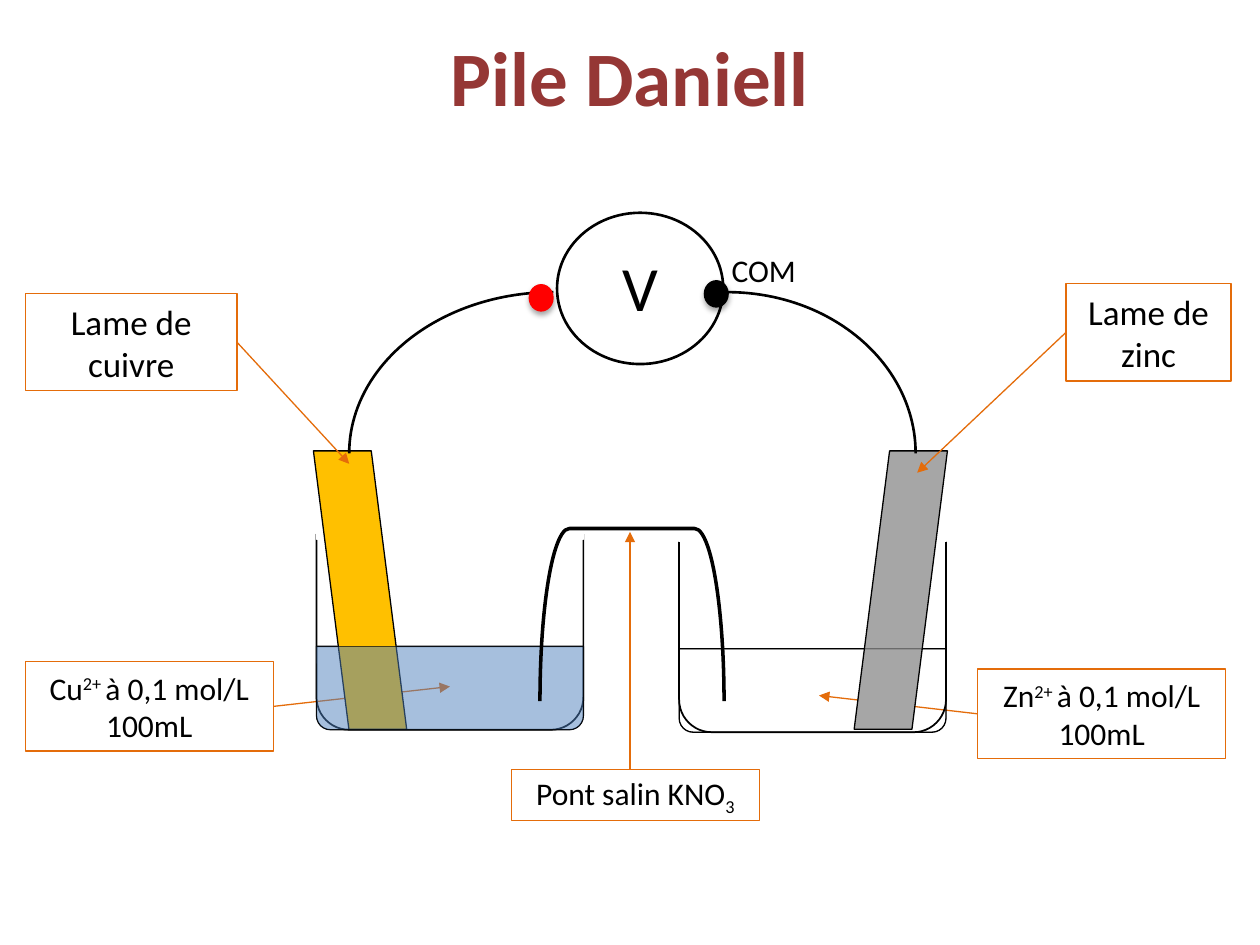
from lxml import etree
from pptx import Presentation
from pptx.dml.color import RGBColor
from pptx.enum import shapes, text
from pptx.oxml import ns
from pptx.util import Cm, Pt

COLORS = {
    "title": "953735", "label": "E46C0A", "ink": "000000", "paper": "FFFFFF",
    "copper": "FFC000", "zinc": "A6A6A6", "solution": "4F81BD", "plus": "FF0000",
}
RGB = {name: RGBColor.from_string(value) for name, value in COLORS.items()}
FORM = shapes.MSO_SHAPE

prs = Presentation()
prs.slide_width, prs.slide_height = Cm(25.4), Cm(19.05)
slide = prs.slides.add_slide(prs.slide_layouts[5])


def add_part(form, box, line="ink", weight=0.75, fill=None):
    part = slide.shapes.add_shape(form, *map(Cm, box))
    part.shadow.inherit = False
    part.line.color.rgb = RGB[line]
    part.line.width = Pt(weight)
    if fill:
        part.fill.solid()
        part.fill.fore_color.rgb = RGB[fill]
    else:
        part.fill.background()
    return part


def add_arrow(start, end, label=None, side=None):
    arrow = slide.shapes.add_connector(
        shapes.MSO_CONNECTOR.STRAIGHT, *map(Cm, start + end))
    if label is not None:
        arrow.begin_connect(label, side)
    arrow.line.color.rgb = RGB["label"]
    arrow.line.width = Pt(0.75)
    etree.SubElement(arrow.line._get_or_add_ln(), ns.qn("a:tailEnd"), type="triangle")
    etree.SubElement(arrow.element.spPr, ns.qn("a:effectLst"))


title = slide.shapes.title
title.left, title.top, title.width, title.height = Cm(1.27), Cm(0.33), Cm(22.86), Cm(2.41)
title.text_frame.text = "Pile Daniell"
title.text_frame.vertical_anchor = text.MSO_ANCHOR.MIDDLE
title.text_frame.paragraphs[0].alignment = text.PP_ALIGN.CENTER
title_font = title.text_frame.paragraphs[0].runs[0].font
title_font.name, title_font.size, title_font.bold = "Calibri", Pt(44), True
title_font.color.rgb = RGB["title"]

label_texts = {
    "copper": ((0.51, 5.92, 4.27, 1.96), 20, [[("Lame de cuivre", 0)]]),
    "zinc": ((21.49, 5.72, 3.33, 1.96), 20, [[("Lame de zinc", 0)]]),
    "bridge": ((10.31, 15.52, 5, 1.02), 18, [[("Pont salin KNO", 0), ("3", -25)]]),
    "zinc ions": ((19.71, 13.49, 5, 1.8), 18,
                  [[("Zn", 0), ("2+ ", 30), ("à 0,1 mol/L", 0)], [("100mL", 0)]]),
    "copper ions": ((0.51, 13.34, 5, 1.8), 18,
                    [[("Cu", 0), ("2+ ", 30), ("à 0,1 mol/L", 0)], [("100mL", 0)]]),
}
labels = {}
for name, (box, size, rows) in label_texts.items():
    label = labels[name] = add_part(FORM.RECTANGLE, box, "label")
    frame = label.text_frame
    frame.word_wrap = True
    for index, row in enumerate(rows):
        paragraph = frame.add_paragraph() if index else frame.paragraphs[0]
        paragraph.alignment = text.PP_ALIGN.CENTER
        for words, baseline in row:
            run = paragraph.add_run()
            run.text = words
            run.font.name, run.font.size = "Calibri", Pt(size)
            run.font.color.rgb = RGB["ink"]
            if baseline:
                run.font._element.set("baseline", str(baseline * 1000))

add_arrow((5.51, 14.24), (9.07, 13.84), labels["copper ions"], 3)
add_arrow((12.7, 15.52), (12.7, 10.72))
add_arrow((19.71, 14.39), (16.51, 14.02), labels["zinc ions"], 1)

half_cells = [
    (6.38, 10.77, 6.32, "copper", "solution"),
    (13.69, 10.82, 17.22, "zinc", None),
]
for left, top, plate_left, metal, liquid in half_cells:
    liquid_box = (left, top + 2.26, 5.38, 1.68)
    beaker = add_part(FORM.ROUND_2_SAME_RECTANGLE, (left, top, 5.38, 3.94), weight=1)
    level = add_part(FORM.ROUND_2_SAME_RECTANGLE, liquid_box)
    add_part(FORM.RECTANGLE, (left, top - 0.13, 5.38, 0.23), "paper", fill="paper")
    plate = add_part(FORM.PARALLELOGRAM, (plate_left, 9.09, 1.88, 5.61), fill=metal)
    plate.adjustments[0] = 0.38
    if metal == "copper":
        plate.element.spPr.xfrm.set("flipH", "1")
    content = add_part(FORM.ROUND_2_SAME_RECTANGLE, liquid_box, weight=0.25, fill=liquid)
    if liquid:
        tint = content.element.spPr.find(".//" + ns.qn("a:srgbClr"))
        etree.SubElement(tint, ns.qn("a:alpha"), val="50000")
    for vessel in (beaker, level, content):
        vessel.rotation = 180

bridge = add_part(FORM.LEFT_BRACKET, (11, 10.54, 3.48, 3.71), weight=2)
bridge.rotation = 90
bridge.adjustments[0] = 0.17

add_part(FORM.ARC, (10.87, 5.89, 7.59, 6.5), weight=1.5)
copper_wire = add_part(FORM.ARC, (7.04, 5.89, 8.23, 6.5), weight=1.5)
copper_wire.element.spPr.xfrm.set("flipH", "1")
add_part(FORM.OVAL, (11.23, 4.29, 3.35, 3.05), weight=1.5)

for words, size, box in [("V", 36, (12.29, 4.88, 2.01, 2.03)),
                         ("COM", 18, (14.5, 4.93, 1.83, 1.02))]:
    marking = slide.shapes.add_textbox(*map(Cm, box))
    marking.text_frame.text = words
    marking_font = marking.text_frame.paragraphs[0].runs[0].font
    marking_font.name, marking_font.size = "Calibri", Pt(size)
    marking_font.color.rgb = RGB["ink"]

add_arrow((4.78, 6.9), (7.04, 9.35), labels["copper"], 3)
add_arrow((21.49, 6.7), (18.49, 9.53), labels["zinc"], 1)

for left, top, color in [(10.67, 5.74, "plus"), (14.2, 5.66, "ink")]:
    terminal = add_part(FORM.OVAL, (left, top, 0.48, 0.53), color, fill=color)
    effects = terminal.element.spPr.find(ns.qn("a:effectLst"))
    shade = etree.SubElement(effects, ns.qn("a:outerShdw"), blurRad=str(Pt(3.1)),
                             dist=str(Pt(1.8)), dir="5400000", rotWithShape="0")
    shade_color = etree.SubElement(shade, ns.qn("a:srgbClr"), val=COLORS["ink"])
    etree.SubElement(shade_color, ns.qn("a:alpha"), val="35000")

prs.save("out.pptx")
